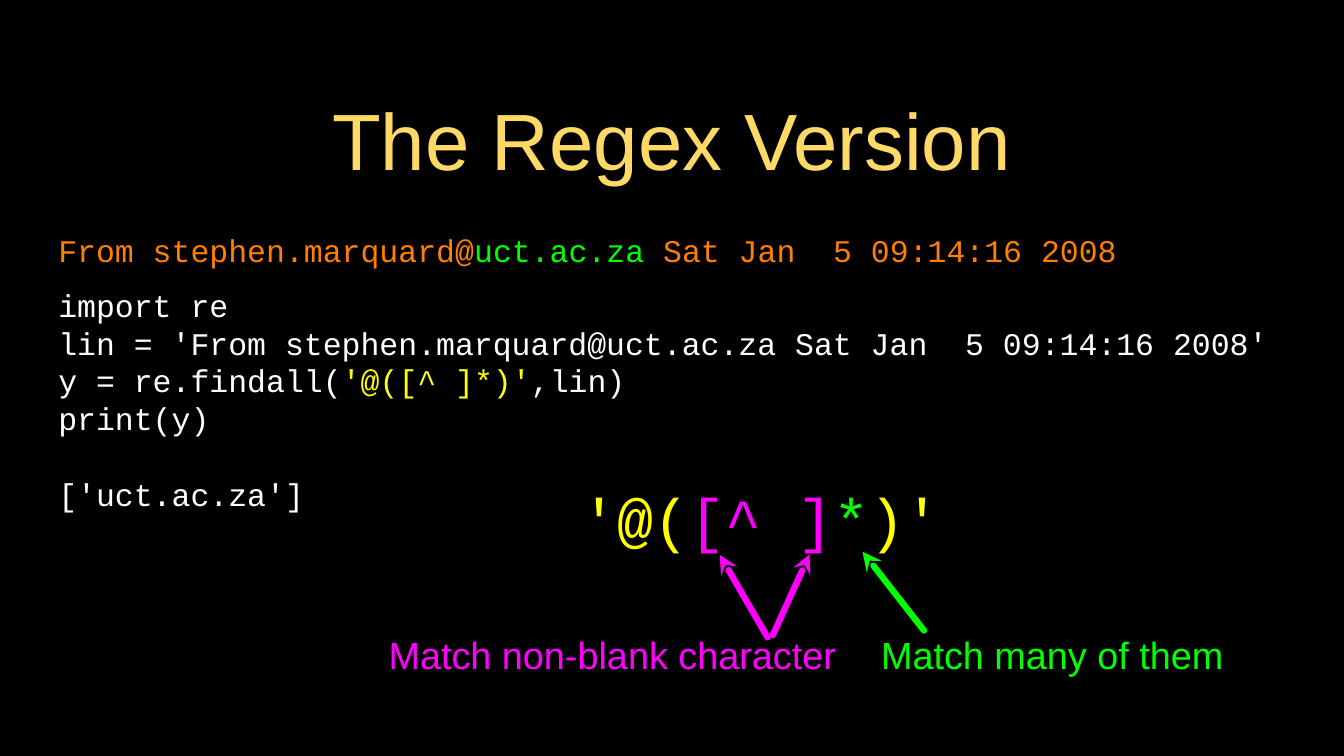
from lxml import etree
from pptx import Presentation
from pptx.dml.color import RGBColor
from pptx.enum import shapes, text
from pptx.oxml import ns
from pptx.util import Pt

BLACK = RGBColor(0, 0, 0)
WHITE = RGBColor(255, 255, 255)
GOLD = RGBColor(0xFF, 0xD9, 0x66)
ORANGE = RGBColor(0xFF, 0x7F, 0)
YELLOW = RGBColor(255, 255, 0)
PINK = RGBColor(255, 0, 255)
GREEN = RGBColor(0, 255, 0)
SANS, MONO = "Arial", "Courier New"

deck = Presentation()
deck.slide_width, deck.slide_height = Pt(1280), Pt(720)
slide = deck.slides.add_slide(deck.slide_layouts[5])
slide.background.fill.solid()
slide.background.fill.fore_color.rgb = BLACK


def write(shape, lines, font, size, align=text.PP_ALIGN.LEFT, inset=0):
    """Fill a shape with lines, each a list of (words, colour) runs."""
    frame = shape.text_frame
    frame.word_wrap = True
    frame.auto_size = text.MSO_AUTO_SIZE.NONE
    frame.vertical_anchor = text.MSO_ANCHOR.MIDDLE
    frame.margin_left = frame.margin_right = Pt(inset)
    frame.margin_top = frame.margin_bottom = Pt(inset)
    for i, line in enumerate(lines):
        para = frame.add_paragraph() if i else frame.paragraphs[0]
        para.alignment = align
        para.font.name, para.font.size = font, Pt(size)
        for words, colour in line:
            run = para.add_run()
            run.text = words
            run.font.color.rgb = colour
    return frame


def box(left, top, width, height):
    return slide.shapes.add_textbox(Pt(left), Pt(top), Pt(width), Pt(height))


title = slide.shapes.title
title.left, title.top, title.width, title.height = Pt(91), Pt(64), Pt(1097), Pt(136)
write(title, [[("The Regex Version", GOLD)]], SANS, 76, text.PP_ALIGN.CENTER, 3)

# Pattern and its two labels
pattern = [("'@(", YELLOW), ("[^ ]", PINK), ("*", GREEN), (")'", YELLOW)]
write(box(554, 458.5, 346, 69), [pattern], MONO, 57)
for left, width, words, colour in [
    (342, 482.5, "Match non-blank character", PINK),
    (808.5, 387.5, "Match many of them", GREEN),
]:
    write(box(left, 598.5, width, 49), [[(words, colour)]],
          SANS, 36, text.PP_ALIGN.CENTER)

# Arrows from the labels up to the pattern; the head is at the start point
for x1, y1, x2, y2, colour in [
    (685.5, 528.5, 731, 607, PINK),
    (771, 528, 736, 605, PINK),
    (821.5, 525.5, 880, 600.5, GREEN),
]:
    arrow = slide.shapes.add_connector(
        shapes.MSO_CONNECTOR.STRAIGHT, Pt(x1), Pt(y1), Pt(x2), Pt(y2))
    arrow.line.color.rgb = colour
    arrow.line.width = Pt(6)
    line = arrow.line._get_or_add_ln()
    line.set("cap", "rnd")
    etree.SubElement(line, ns.qn("a:headEnd"), type="stealth")
    etree.SubElement(arrow._element.spPr, ns.qn("a:effectLst"))

# Code with its output, one line apart
code = [
    [("import re", WHITE)],
    [("lin = 'From stephen.marquard@uct.ac.za Sat Jan  5 09:14:16 2008'", WHITE)],
    [("y = re.findall(", WHITE), ("'@([^ ]*)'", YELLOW), (",lin)", WHITE)],
    [("print(y)", WHITE)],
    [("['uct.ac.za']", WHITE)],
]
frame = write(box(55.5, 278, 1175, 204.5), code, MONO, 30)
for para in frame.paragraphs:
    para.line_spacing = Pt(36)
frame.paragraphs[-1].space_before = Pt(36)

# Sample line
sample = [("From stephen.marquard@", ORANGE), ("uct.ac.za", GREEN),
          (" Sat Jan  5 09:14:16 2008", ORANGE)]
write(box(55.5, 211.5, 1120, 53.5), [sample], MONO, 30)

deck.save("out.pptx")
